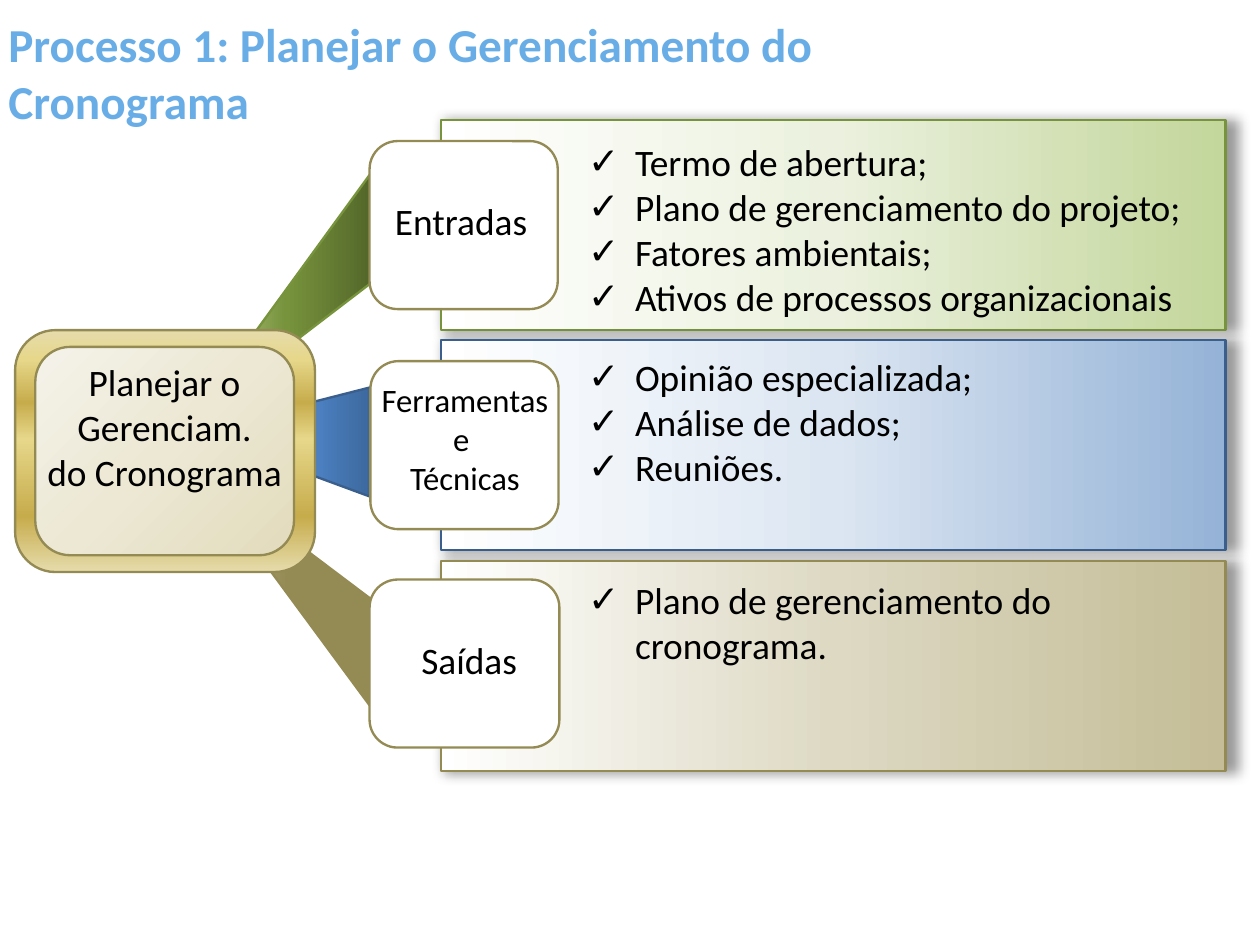
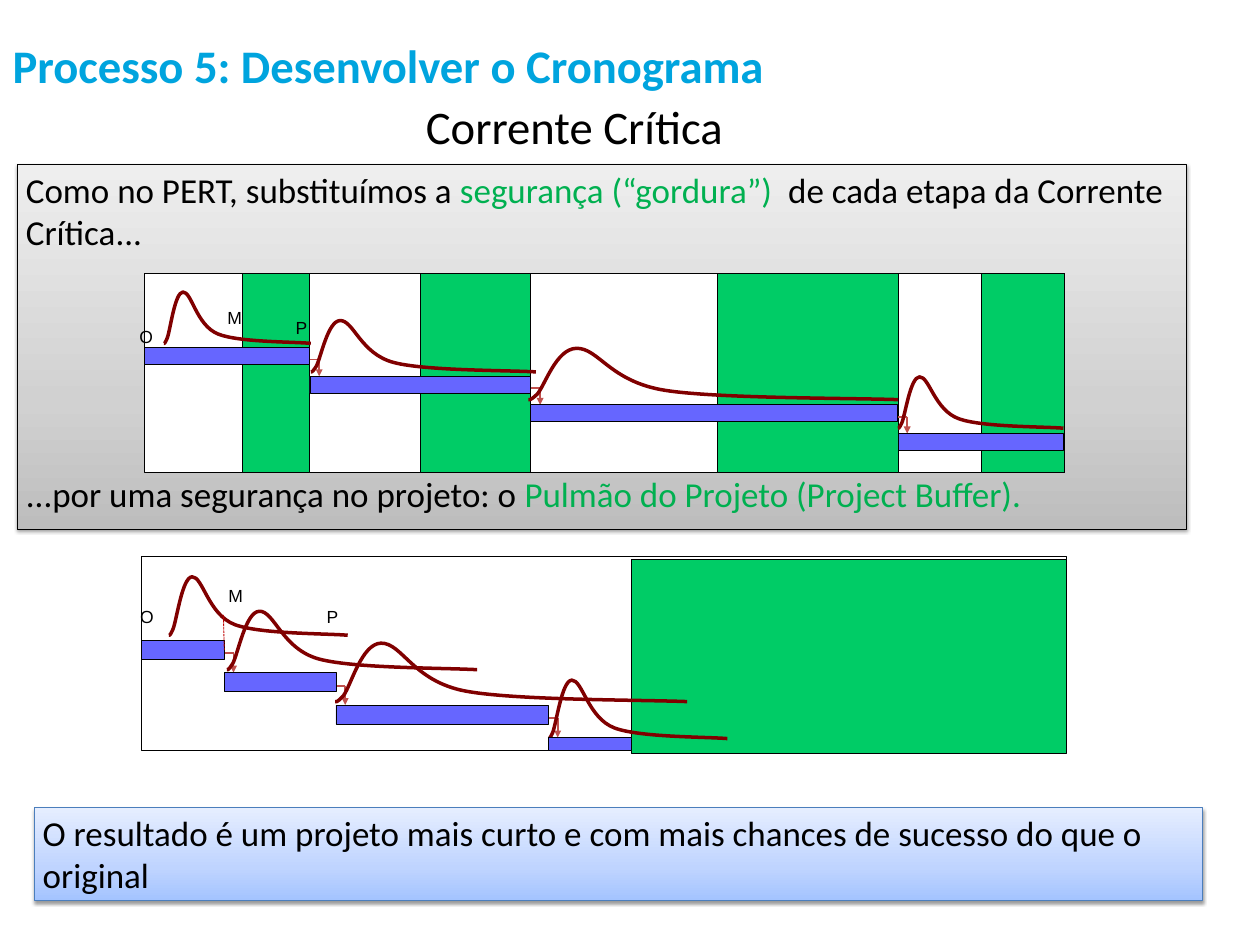
from lxml import etree
from pptx import Presentation
from pptx.dml.color import RGBColor
from pptx.enum.dml import MSO_LINE
from pptx.enum.shapes import MSO_CONNECTOR, MSO_SHAPE
from pptx.enum.text import MSO_ANCHOR, PP_ALIGN
from pptx.oxml import parse_xml
from pptx.oxml.ns import nsdecls, qn
from pptx.util import Inches, Pt

COLORS = {
    "black": "000000", "white": "FFFFFF", "title_sky": "69ADE7", "title_cyan": "00A4DE",
    "olive": "77933C", "navy": "3A5F8C", "khaki": "948A54", "highlight": "00B050",
    "buffer": "00CC66", "task": "6666FF", "curve": "800000", "arrow": "C0504D",
    "dash": "C00000", "result_line": "4B7EBC",
}

# Gradients: (position in percent, colour) stops
GOLD = [(0, "E6DCAC"), (12, "E6D78A"), (30, "C7AC4C"), (45, "E6D78A"), (77, "C7AC4C"), (100, "E6DCAC")]
CREAM = [(0, "E2DBBC"), (50, "ECE8D4"), (100, "F5F3EA")]
GRAY = [(0, "BDBDBD"), (35, "D1D1D1"), (100, "EEEEEE")]
BLUE = [(0, "A4C4FF"), (35, "BFD4FF"), (100, "E6EEFF")]

# Shadows: opacity in percent, blur and distance in points, direction in degrees, width in percent
BAND_SHADOW = (40, 11, 3, 0, 101)
PANEL_SHADOW = (38, 3.1, 1.6, 90, 100)

# Distribution curve in a unit box: a start point, then three points per cubic segment
CURVE = [
    (0, 0.95),
    (0.005, 0.93), (0, 1), (0.024, 0.85),
    (0.045, 0.69), (0.075, 0.02), (0.13, 0.01),
    (0.19, 0), (0.22, 0.62), (0.37, 0.78),
    (0.51, 0.93), (0.87, 0.92), (1, 0.95),
]


def rgb(name):
    return RGBColor.from_string(COLORS[name])


def three_stops(start, middle, end):
    return [(0, start), (50, middle), (100, end)]


def set_gradient(shape, stops, angle):
    """Fill with stops along an angle, or outwards from the lower right corner if it is None."""
    stop_xml = "".join(
        f'<a:gs pos="{position * 1000}"><a:srgbClr val="{color}"/></a:gs>' for position, color in stops)
    if angle is None:
        direction = '<a:path path="circle"><a:fillToRect l="100000" t="100000"/></a:path>'
    else:
        direction = f'<a:lin ang="{angle * 60000}" scaled="0"/>'
    gradient = parse_xml(
        f'<a:gradFill {nsdecls("a")} rotWithShape="1"><a:gsLst>{stop_xml}</a:gsLst>{direction}</a:gradFill>')
    shape.fill.solid()
    properties = shape._element.spPr
    properties.replace(properties.find(qn("a:solidFill")), gradient)


def set_shadow(shape, opacity, blur, distance, direction, scale):
    effects = shape._element.spPr.find(qn("a:effectLst"))
    effects.append(parse_xml(
        f'<a:outerShdw {nsdecls("a")} blurRad="{Pt(blur)}" dist="{Pt(distance)}" '
        f'dir="{direction * 60000}" sx="{scale * 1000}" algn="l" rotWithShape="0">'
        f'<a:srgbClr val="{COLORS["black"]}"><a:alpha val="{opacity * 1000}"/></a:srgbClr></a:outerShdw>'))


def style_shape(shape, fill=None, angle=0, line="black", width=0.75, shadow=None):
    shape.shadow.inherit = False
    if fill is None:
        shape.fill.background()
    elif isinstance(fill, list):
        set_gradient(shape, fill, angle)
    else:
        shape.fill.solid()
        shape.fill.fore_color.rgb = rgb(fill)
    shape.line.color.rgb = rgb(line)
    shape.line.width = Pt(width)
    if shadow:
        set_shadow(shape, *shadow)
    return shape


def add_box(slide, box, kind=MSO_SHAPE.RECTANGLE, **style):
    return style_shape(slide.shapes.add_shape(kind, *map(Inches, box)), **style)


def add_outline(slide, points, close=True, **style):
    corners = [(Inches(x), Inches(y)) for x, y in points]
    builder = slide.shapes.build_freeform(*corners[0])
    builder.add_line_segments(corners[1:], close=close)
    return style_shape(builder.convert_to_shape(), **style)


def add_line(slide, start, end, color="arrow", width=1.5, arrow=False, dash=None):
    connector = slide.shapes.add_connector(MSO_CONNECTOR.STRAIGHT, *map(Inches, (*start, *end)))
    connector.line.color.rgb = rgb(color)
    connector.line.width = Pt(width)
    if dash:
        connector.line.dash_style = dash
    if arrow:
        etree.SubElement(connector.line._get_or_add_ln(), qn("a:tailEnd"), type="triangle")
    etree.SubElement(connector._element.spPr, qn("a:effectLst"))


def add_bullet(paragraph, indent=0.56):
    properties = paragraph._p.get_or_add_pPr()
    properties.set("marL", str(Inches(indent)))
    properties.set("indent", str(-Inches(indent)))
    etree.SubElement(properties, qn("a:buFont"), typeface="Arial")
    etree.SubElement(properties, qn("a:buChar"), char="✓")


def write_text(shape, paragraphs, size=32, font="Calibri", color="black", bold=False,
               align=PP_ALIGN.LEFT, anchor=MSO_ANCHOR.TOP, inset=(0.1, 0.05),
               wrap=True, bullet=False, gap=0):
    """Each paragraph is a string or a list of (text, colour) runs; a newline breaks the line."""
    frame = shape.text_frame
    frame.word_wrap = wrap
    frame.vertical_anchor = anchor
    frame.margin_left = frame.margin_right = Inches(inset[0])
    frame.margin_top = frame.margin_bottom = Inches(inset[1])
    for index, content in enumerate(paragraphs):
        paragraph = frame.add_paragraph() if index else frame.paragraphs[0]
        if bullet:
            add_bullet(paragraph)
        paragraph.alignment = align
        if index and gap:
            paragraph.space_before = Pt(gap)
        runs = [(content, color)] if isinstance(content, str) else content
        for words, run_color in runs:
            for number, piece in enumerate(words.split("\n")):
                if number:
                    paragraph.add_line_break()
                run = paragraph.add_run()
                run.text = piece
                run.font.size = Pt(size)
                run.font.name = font
                run.font.bold = bold
                run.font.color.rgb = rgb(run_color)


def add_text(slide, box, paragraphs, **style):
    write_text(slide.shapes.add_textbox(*map(Inches, box)), paragraphs, **style)


def add_title(slide, box, title, **style):
    add_text(slide, box, [title], bold=True, anchor=MSO_ANCHOR.MIDDLE, **style)


def add_curve(slide, left, top, width, height):
    """Stretch the unit curve into the given box and join its points by cubic segments."""
    points = [(left + x * width, top + y * height) for x, y in CURVE]
    shape = add_outline(slide, points, close=False, line="curve", width=3)
    lines = list(shape._element.iter(qn("a:lnTo")))
    for first, second, third in zip(lines[::3], lines[1::3], lines[2::3]):
        cubic = etree.Element(qn("a:cubicBezTo"))
        first.addprevious(cubic)
        for line in (first, second, third):
            cubic.append(line[0])
            line.getparent().remove(line)


def add_schedule(slide, frame, buffers, edges, first_top, step, bar_height, curves, curve_height, labels):
    """Framed cascade of tasks with buffers, linking arrows and duration curves."""
    add_box(slide, frame, fill="white")
    for buffer in buffers:
        add_box(slide, buffer, fill="buffer")
    bottom = frame[1] + frame[3]
    tops = [first_top + step * index for index in range(len(edges) - 1)]
    for edge, top in zip(edges[1:], tops[1:]):
        corner = (edge + 0.11, top - bar_height)
        add_line(slide, corner, (edge + 0.11, top), arrow=True)
        add_line(slide, (edge - 0.22, corner[1]), corner)
    for left, top, width in curves:
        add_curve(slide, left, top, width, curve_height)
    for left, right, top in zip(edges, edges[1:], tops):
        add_box(slide, (left, top, right - left, min(bar_height, bottom - top)), fill="task")
    for letter, width, (left, top) in zip("OMP", (0.36, 0.38, 0.34), labels):
        add_text(slide, (left, top, width, 0.35), [letter], size=15, font="Arial", wrap=False)


def build_process_slide(slide):
    # Each row: band, wedge, card, label and item list
    rows = [
        dict(top=1.43, line="olive", band=three_stops("C3D69B", "EBF1DE", "FFFFFF"),
             wedge=three_stops("C3D69B", "77933C", "4F6228"),
             points=[(4.54, 1.89), (4.52, 3.29), (2.27, 5.01)], card=(4.4, 1.68, 2.24, 2),
             label="Entradas", label_box=(4.51, 2.31, 1.96, 0.64), size=32, items_box=(7, 1.61, 7.71, 2.26),
             items=["Termo de abertura;", "Plano de gerenciamento do projeto;",
                    "Fatores ambientais;", "Ativos de processos organizacionais"]),
        dict(top=4.05, line="navy", band=three_stops("95B3D7", "DCE6F2", "FFFFFF"),
             wedge=three_stops("8EB4E3", "558ED5", "376092"),
             points=[(2.3, 5.15), (4.61, 4.56), (4.59, 5.98), (2.23, 5.11)], card=(4.41, 4.3, 2.24, 2),
             label="Ferramentas e \nTécnicas", label_box=(4.43, 4.47, 2.21, 1.51), size=28,
             items_box=(7, 4.17, 7.71, 1.72),
             items=["Opinião especializada;", "Análise de dados;", "Reuniões."]),
        dict(top=6.68, line="khaki", band=three_stops("C4BD97", "DDD9C3", "FFFFFF"),
             wedge=three_stops("C4BD97", "948A54", "948A54"),
             points=[(4.58, 8.64), (4.56, 7.24), (2.28, 5.52)], card=(4.4, 6.9, 2.26, 2),
             label="Saídas", label_box=(4.64, 7.54, 1.89, 0.64), size=32, items_box=(7, 6.82, 7.71, 1.18),
             items=["Plano de gerenciamento do cronograma."]),
    ]
    for row in rows:
        add_box(slide, (5.25, row["top"], 9.34, 2.5), fill=row["band"], angle=180,
                line=row["line"], width=2, shadow=BAND_SHADOW)
    for row in rows:
        add_outline(slide, row["points"], fill=row["wedge"], line=row["line"], width=2)
        add_box(slide, row["card"], MSO_SHAPE.ROUNDED_RECTANGLE, fill="white", line="khaki", width=2)
        add_text(slide, row["label_box"], [row["label"]], size=row["size"],
                 align=PP_ALIGN.CENTER, inset=(0, 0.05))
        add_text(slide, row["items_box"], row["items"], bullet=True, inset=(0, 0.05))

    # Hub
    for box, fill, angle in (((0.18, 3.93, 3.57, 2.88), GOLD, 90), ((0.42, 4.13, 3.08, 2.48), CREAM, None)):
        add_box(slide, box, MSO_SHAPE.ROUNDED_RECTANGLE, fill=fill, angle=angle, line="khaki", width=2)
    add_text(slide, (0.42, 4.23, 3.08, 1.72), ["Planejar o Gerenciam.", "do Cronograma"], align=PP_ALIGN.CENTER)

    add_title(slide, (0, 0.32, 12.22, 1.07), "Processo 1: Planejar o Gerenciamento do Cronograma",
              size=40.5, color="title_sky")


def build_critical_chain_slide(slide):
    # Explanation panel; the gap leaves room for the first schedule
    panel = add_box(slide, (0.21, 1.96, 13.91, 4.34), fill=GRAY, angle=270, shadow=PANEL_SHADOW)
    write_text(panel, [
        [("Como no PERT, substituímos a ", "black"), ("segurança (“gordura”)  ", "highlight"),
         ("de cada etapa da Corrente Crítica...", "black")],
        [("...por uma segurança no projeto: o ", "black"),
         ("Pulmão do Projeto (Project Buffer).", "highlight")],
    ], size=30, gap=188)

    # Schedule with one buffer after all tasks
    add_schedule(
        slide, frame=(1.68, 6.63, 11.02, 2.31), buffers=[(7.52, 6.66, 5.18, 2.31)],
        edges=[1.68, 2.67, 4, 6.53, 7.52], first_top=7.62, step=(8.78 - 7.62) / 3, bar_height=0.23,
        curves=[(2.01, 6.86, 2.13), (2.7, 7.27, 2.98), (3.99, 7.65, 4.19), (6.53, 8.09, 2.13)],
        curve_height=0.74, labels=[(1.57, 7.16), (2.62, 6.92), (3.79, 7.16)])
    add_line(slide, (2.67, 7.74), (2.66, 7.32), color="dash", width=0.75, dash=MSO_LINE.SQUARE_DOT)

    # Result and headings
    result = add_box(slide, (0.41, 9.61, 13.91, 1.11), fill=BLUE, angle=270,
                     line="result_line", shadow=PANEL_SHADOW)
    write_text(result, ["O resultado é um projeto mais curto e com mais chances de sucesso do que o original"], size=30)
    add_text(slide, (4.92, 1.08, 4.96, 0.83), ["Corrente Crítica"], size=40, inset=(0.15, 0.08))
    add_title(slide, (0, 0.24, 13.53, 1.07), "Processo 5: Desenvolver o Cronograma",
              size=40, color="title_cyan", inset=(0.15, 0.07))

    # Schedule with a buffer in every task
    buffer_spans = [(2.89, 0.8), (5, 1.31), (8.54, 2.16), (11.68, 0.99)]
    add_schedule(
        slide, frame=(1.72, 3.26, 10.95, 2.37),
        buffers=[(left, 3.26, width, 2.37) for left, width in buffer_spans],
        edges=[1.72, 3.69, 6.32, 10.69, 12.66], first_top=4.14, step=0.34, bar_height=0.2,
        curves=[(1.95, 3.47, 1.75), (3.7, 3.81, 2.68), (6.29, 4.14, 4.4), (10.69, 4.48, 1.97)],
        curve_height=0.65, labels=[(1.56, 3.83), (2.61, 3.6), (3.42, 3.73)])


def main():
    presentation = Presentation()
    presentation.slide_width = Inches(15)
    presentation.slide_height = Inches(11.25)
    for build in (build_process_slide, build_critical_chain_slide):
        build(presentation.slides.add_slide(presentation.slide_layouts[6]))
    presentation.save("out.pptx")


if __name__ == "__main__":
    main()
